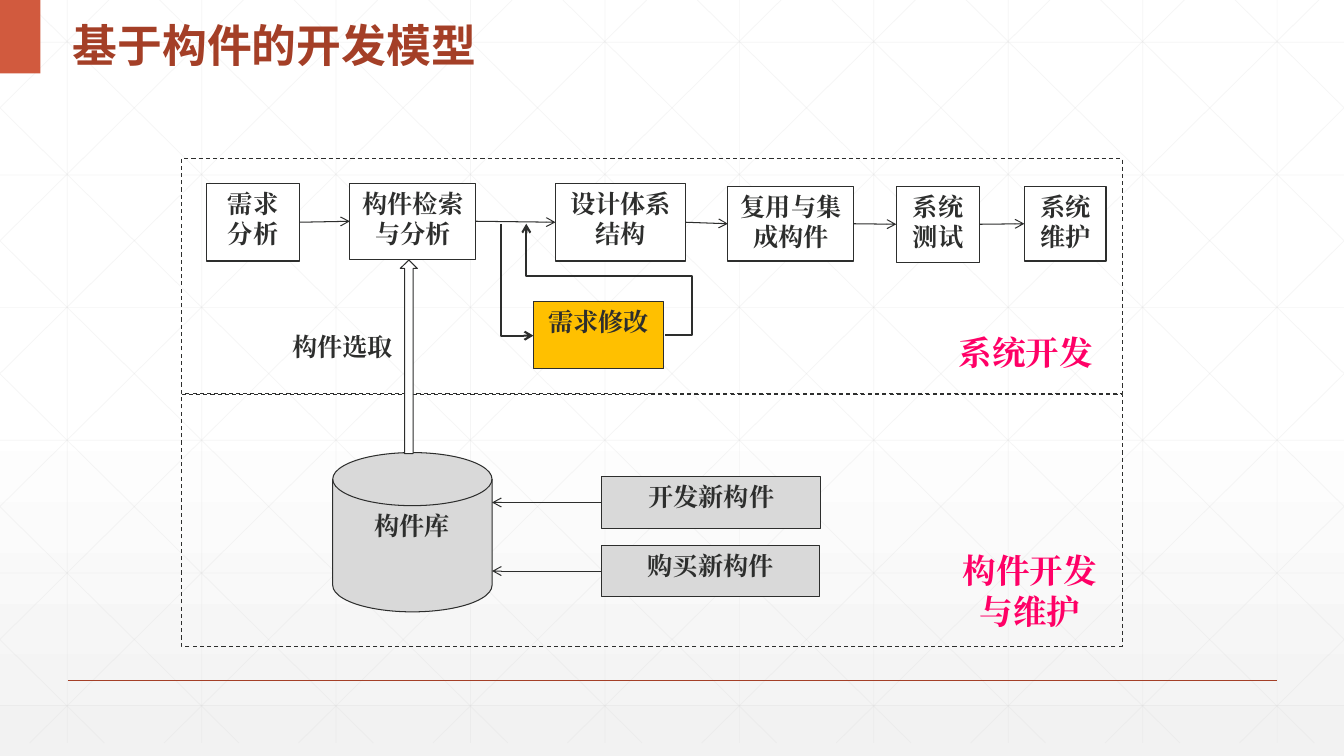
from lxml import etree
from pptx import Presentation
from pptx.dml.color import RGBColor
from pptx.enum.dml import MSO_LINE
from pptx.enum.shapes import MSO_CONNECTOR, MSO_SHAPE
from pptx.enum.text import MSO_ANCHOR, PP_ALIGN
from pptx.oxml.ns import qn
from pptx.util import Inches, Pt

RECT, DISK, UP_ARROW = MSO_SHAPE.RECTANGLE, MSO_SHAPE.FLOWCHART_MAGNETIC_DISK, MSO_SHAPE.UP_ARROW
STRAIGHT, DASH = MSO_CONNECTOR.STRAIGHT, MSO_LINE.DASH
TOP, MIDDLE = MSO_ANCHOR.TOP, MSO_ANCHOR.MIDDLE
LEFT, CENTER = PP_ALIGN.LEFT, PP_ALIGN.CENTER

INK, WHITE, GREY, AMBER = "2D2E2D", "FFFFFF", "D9D9D9", "FFC000"
RUST, ORANGE, PINK, PALE = "A43F27", "D15A3E", "FF0066", "F2F2F2"
TITLE_FONT, BODY_FONT = "Noto Sans CJK SC", "Times New Roman"

# Content: text, then left, top, width, height
TITLE = "基于构件的开发模型"
FRAMES = [(1.8, 1.57, 9.33, 2.33), (1.8, 3.91, 9.33, 2.5)]
STEPS = [
    ("需求分析", (2.05, 1.82, 0.92, 0.77)),
    ("构件检索与分析", (3.47, 1.82, 1.25, 0.75)),
    ("设计体系结构", (5.51, 1.82, 1.29, 0.77)),
    ("复用与集成构件", (7.22, 1.85, 1.25, 0.74)),
    ("系统测试", (8.89, 1.85, 0.83, 0.75)),
    ("系统维护", (10.16, 1.85, 0.81, 0.74)),
]
LIBRARY = ("构件库", (3.3, 4.49, 1.58, 1.58))
SOURCES = [
    ("开发新构件", (5.97, 4.73, 2.17, 0.51)),
    ("购买新构件", (5.97, 5.41, 2.16, 0.51)),
]
CHANGE = ("需求修改", (5.29, 2.99, 1.29, 0.67))
SELECTION = (3.97, 2.58, 0.17, 1.92)
LABELS = [
    ("构件开发与维护", (9.3, 5.41, 1.83, 0.83), 24, PINK, CENTER),
    ("系统开发", (9.3, 3.24, 1.75, 0.67), 24, PINK, CENTER),
    ("构件选取", (2.8, 3.24, 1.33, 0.41), 18, INK, LEFT),
]
CHANGE_ROUTES = [
    [(4.97, 2.22), (4.97, 3.33), (5.29, 3.33)],
    [(6.6, 3.32), (6.86, 3.32), (6.86, 2.74), (5.22, 2.74), (5.22, 2.22)],
]

prs = Presentation()
prs.slide_width, prs.slide_height = Inches(13.33), Inches(7.5)
slide = prs.slides.add_slide(prs.slide_layouts[5])
shapes = slide.shapes


def rgb(code):
    return RGBColor.from_string(code)


def write(frame, text, size, color, align, font=BODY_FONT, anchor=TOP):
    frame.word_wrap = True
    frame.vertical_anchor = anchor
    paragraph = frame.paragraphs[0]
    paragraph.alignment = align
    run = paragraph.add_run()
    run.text = text
    run.font.size, run.font.bold, run.font.name = Pt(size), True, font
    run.font.color.rgb = rgb(color)
    etree.SubElement(run.font._element, qn("a:ea"), typeface=font)
    return paragraph


def style_line(line, color=INK, width=0.75, arrow=False, alpha=None):
    line.color.rgb = rgb(color)
    line.width = Pt(width)
    outline = line.fill._xPr
    if alpha:
        tint = outline.find(".//" + qn("a:srgbClr"))
        etree.SubElement(tint, qn("a:alpha"), val=str(alpha * 1000))
    if arrow:
        etree.SubElement(outline, qn("a:tailEnd"), type="arrow")


def draw_line(start, end, **style):
    connector = shapes.add_connector(STRAIGHT, *map(Inches, start + end))
    style_line(connector.line, **style)
    etree.SubElement(connector._element.spPr, qn("a:effectLst"))


def draw_shape(kind, place, fill=None, text=None):
    shape = shapes.add_shape(kind, *map(Inches, place))
    shape.shadow.inherit = False
    if fill:
        shape.fill.solid()
        shape.fill.fore_color.rgb = rgb(fill)
    else:
        shape.fill.background()
    style_line(shape.line)
    if text:
        write(shape.text_frame, text, 18, INK, CENTER)
    return shape


def draw_route(points):
    builder = shapes.build_freeform(*map(Inches, points[0]), scale=1.0)
    builder.add_line_segments([tuple(map(Inches, p)) for p in points[1:]], close=False)
    route = builder.convert_to_shape()
    route.shadow.inherit = False
    route.fill.background()
    style_line(route.line, width=1.5, arrow=True)


# Background gradient
backdrop = slide.background.fill
backdrop.gradient()
backdrop.gradient_angle = 270
for stop, color, position in zip(backdrop.gradient_stops, (WHITE, PALE), (0.53, 1)):
    stop.color.rgb = rgb(color)
    stop.position = position

# Background grid: verticals, horizontals and mirrored diagonals
WIDTH, DEPTH, STEP, SLOPE = 13.33, 7.37, 4 / 3, 0.989
grid = [((STEP * (i + 0.5), 0), (STEP * (i + 0.5), DEPTH)) for i in range(10)]
grid += [((0, 0.42 + 1.316 * i), (WIDTH, 0.42 + 1.316 * i)) for i in range(6)]
for i in range(-5, 10):
    origin = 0.25 + STEP * i
    x1, x2 = max(0, origin), min(WIDTH, origin + DEPTH / SLOPE)
    y1, y2 = (x1 - origin) * SLOPE, (x2 - origin) * SLOPE
    grid += [((x1, y1), (x2, y2)), ((WIDTH - x1, y1), (WIDTH - x2, y2))]
for start, end in grid:
    draw_line(start, end, color=GREY, width=0.5, alpha=25)

# Footer rule, corner block and title
draw_line((0.67, 6.75), (12.67, 6.75), color=RUST, width=1)
corner = draw_shape(RECT, (0, 0, 0.4, 0.73), ORANGE)
corner.line.fill.background()
title = shapes.title
title.left, title.top, title.width, title.height = map(Inches, (0.62, 0, 7.57, 0.73))
heading = write(title.text_frame, TITLE, 32, RUST, LEFT, TITLE_FONT, MIDDLE)
heading.line_spacing = 1.3
corner.element.addnext(title.element)

# Dashed frames and boxes
for place in FRAMES:
    draw_shape(RECT, place).line.dash_style = DASH
for text, place in STEPS:
    draw_shape(RECT, place, WHITE, text)
draw_shape(DISK, LIBRARY[1], GREY, LIBRARY[0])
for text, place in SOURCES:
    draw_shape(RECT, place, GREY, text)
draw_shape(RECT, CHANGE[1], AMBER, CHANGE[0])

# Arrows from step to step, and from each source to the library
for (_, a), (_, b) in zip(STEPS, STEPS[1:]):
    draw_line((a[0] + a[2], a[1] + a[3] / 2), (b[0], b[1] + b[3] / 2), arrow=True)
library_edge = LIBRARY[1][0] + LIBRARY[1][2]
for _, (left, top, _, height) in SOURCES:
    draw_line((left, top + height / 2), (library_edge, top + height / 2), arrow=True)

# Labels
for text, place, size, color, align in LABELS:
    label = shapes.add_textbox(*map(Inches, place))
    write(label.text_frame, text, size, color, align)

# Change loop and component selection
for points in CHANGE_ROUTES:
    draw_route(points)
selection = draw_shape(UP_ARROW, SELECTION, WHITE)
selection.adjustments[0], selection.adjustments[1] = 0.5, 0.49

prs.save("out.pptx")
